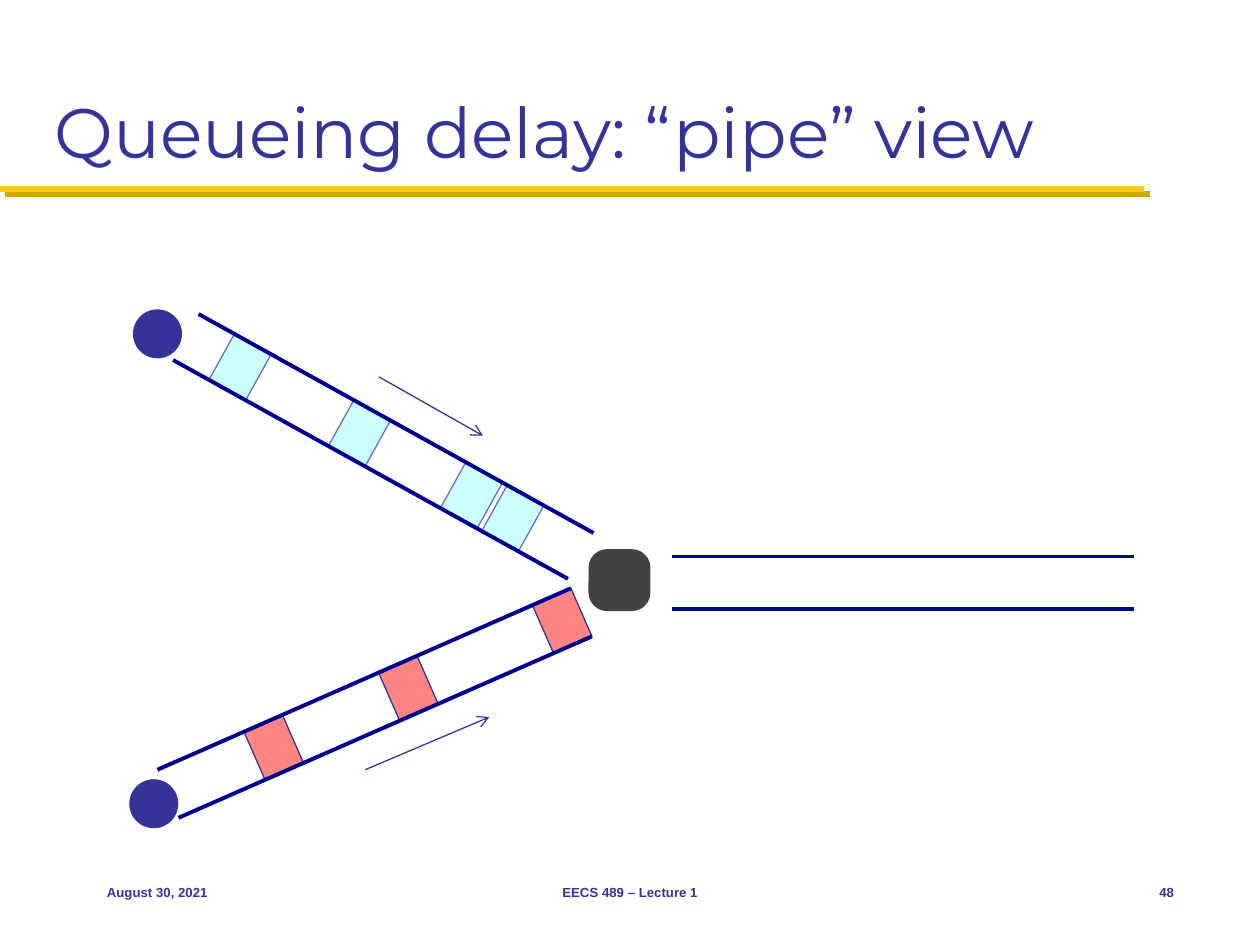
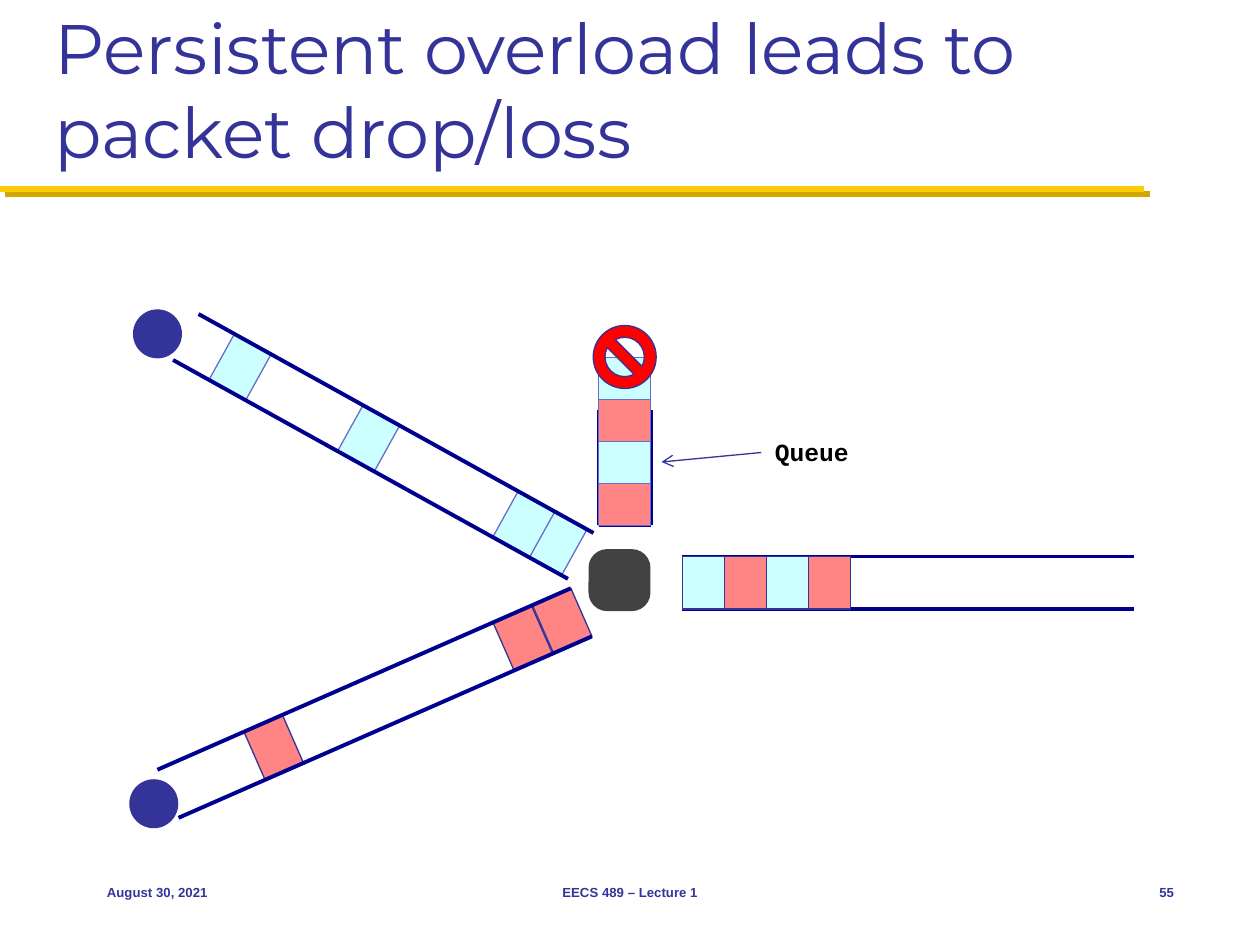
from dataclasses import dataclass
from itertools import cycle
from math import cos, radians, sin

from lxml import etree
from pptx import Presentation
from pptx.dml.color import RGBColor
from pptx.enum.shapes import MSO_CONNECTOR, MSO_SHAPE
from pptx.enum.text import MSO_ANCHOR, PP_ALIGN
from pptx.oxml.ns import qn
from pptx.util import Inches, Pt

STRAIGHT = MSO_CONNECTOR.STRAIGHT
RECTANGLE, OVAL = MSO_SHAPE.RECTANGLE, MSO_SHAPE.OVAL
ROUNDED, NO_SYMBOL = MSO_SHAPE.ROUNDED_RECTANGLE, MSO_SHAPE.NO_SYMBOL
LEFT, CENTER, RIGHT = PP_ALIGN.LEFT, PP_ALIGN.CENTER, PP_ALIGN.RIGHT
TOP, MIDDLE, BOTTOM = MSO_ANCHOR.TOP, MSO_ANCHOR.MIDDLE, MSO_ANCHOR.BOTTOM

# The slide is a grid of 120 columns by 90 rows, 12 cells to the inch
COLUMNS, ROWS, CELLS_PER_INCH = 120, 90, 12
PACKET_LENGTH, PIPE_WIDTH, PIPE_LENGTH = 4, 5, 43


@dataclass(frozen=True)
class Theme:
    navy: str = "333399"
    pipe: str = "000090"
    cyan: str = "CCFFFF"
    coral: str = "FF8585"
    lilac: str = "6A6ACD"
    router: str = "424242"
    red: str = "FF0000"
    black: str = "000000"
    gold: str = "FFCB05"
    dark_gold: str = "D3A600"
    band_line: float = 3.5
    pipe_line: float = 2.25
    thin_line: float = 0.75
    hairline: float = 0.5


THEME = Theme()
TITLE_FONT = {"name": "Montserrat", "size": Pt(40), "bold": False}
FOOTER_FONT = {"name": "Arial", "size": Pt(7.5), "bold": True}
LABEL_FONT = {"name": "Courier New", "size": Pt(14.1), "bold": True}


@dataclass(frozen=True)
class Pipe:
    """A pipe whose centre line leaves start at an angle in degrees."""
    start: tuple
    angle: float
    length: float = PIPE_LENGTH

    def point(self, along, across=0):
        turn = radians(self.angle)
        return (self.start[0] + along * cos(turn) - across * sin(turn),
                self.start[1] + along * sin(turn) + across * cos(turn))


UPPER_PIPE = Pipe((17.7, 32.1), 29)
LOWER_PIPE = Pipe((16, 75.6), -23.7)
EMPTY_OUTPUT = Pipe((64, 55.5), 0, PIPE_LENGTH + 1)
BUSY_OUTPUT = Pipe((65, 55.5), 0)
QUEUE = Pipe((59.5, 50), -90, 11)
BACK_TO_BACK = [PACKET_LENGTH * (index + 0.5) for index in range(4)]


def cells(count):
    return Inches(count / CELLS_PER_INCH)


def color(value):
    return RGBColor.from_string(value)


# Basic elements
def add_line(slide, start, end, line_color, width, arrow=False):
    connector = slide.shapes.add_connector(
        STRAIGHT, *(cells(value) for value in (*start, *end)))
    connector.line.color.rgb = color(line_color)
    connector.line.width = Pt(width)
    if arrow:
        tail = etree.SubElement(connector.line._get_or_add_ln(), qn("a:tailEnd"))
        tail.set("type", "arrow")
    return etree.SubElement(connector._element.spPr, qn("a:effectLst"))


def add_centered(slide, kind, center, width, height, fill,
                 outline=None, line_width=THEME.thin_line):
    shape = slide.shapes.add_shape(
        kind, cells(center[0] - width / 2), cells(center[1] - height / 2),
        cells(width), cells(height))
    shape.shadow.inherit = False
    shape.fill.solid()
    shape.fill.fore_color.rgb = color(fill)
    if outline:
        shape.line.color.rgb = color(outline)
        shape.line.width = Pt(line_width)
    else:
        shape.line.fill.background()
    return shape


def add_text(slide, box, text, font, align=LEFT, anchor=MIDDLE,
             text_color=THEME.navy, wrap=True):
    frame = slide.shapes.add_textbox(*(cells(value) for value in box)).text_frame
    frame.word_wrap = wrap
    frame.vertical_anchor = anchor
    paragraph = frame.paragraphs[0]
    paragraph.alignment = align
    run = paragraph.add_run()
    run.text = text
    for name, value in font.items():
        setattr(run.font, name, value)
    run.font.color.rgb = color(text_color)


# Network parts
def add_walls(slide, pipe):
    for side in (-PIPE_WIDTH / 2, PIPE_WIDTH / 2):
        add_line(slide, pipe.point(0, side), pipe.point(pipe.length, side),
                 THEME.pipe, THEME.pipe_line)


def add_packets(slide, pipe, distances, fills, outline, line_width=THEME.thin_line):
    for distance, fill in zip(distances, cycle(fills)):
        packet = add_centered(slide, RECTANGLE, pipe.point(distance),
                              PACKET_LENGTH, PIPE_WIDTH, fill, outline, line_width)
        packet.rotation = pipe.angle


def add_inputs(slide, upper_distances, lower_distances):
    """Two senders, their pipes with packets, and the router they meet at."""
    add_packets(slide, UPPER_PIPE, upper_distances, [THEME.cyan], THEME.lilac)
    add_packets(slide, LOWER_PIPE, lower_distances, [THEME.coral], THEME.navy)
    for pipe in (UPPER_PIPE, LOWER_PIPE):
        add_walls(slide, pipe)
    for center in ((15, 31.8), (14.65, 76.55)):
        add_centered(slide, OVAL, center, 4.67, 4.67, THEME.navy)
    router = add_centered(slide, ROUNDED, (59, 55.25), 5.9, 5.9, THEME.router)
    router.adjustments[0] = 0.3


def add_arrow(slide, start, end):
    add_line(slide, start, end, THEME.navy, THEME.thin_line, arrow=True)


# Shared slide frame
def add_band(slide):
    effects = add_line(slide, (0, 18), (109, 18), THEME.gold, THEME.band_line)
    shadow = etree.SubElement(effects, qn("a:outerShdw"), blurRad="0",
                              dist=str(Pt(4.2)), dir=str(45 * 60000))
    etree.SubElement(shadow, qn("a:srgbClr"), val=THEME.dark_gold)


def new_slide(presentation, title, number):
    slide = presentation.slides.add_slide(presentation.slide_layouts[6])
    add_band(slide)
    add_text(slide, (4, 2, 112, 15), title, TITLE_FONT, anchor=BOTTOM)
    footers = (
        (9, 25, "August 30, 2021", LEFT),
        (41, 38, "EECS 489 – Lecture 1", CENTER),
        (105, 8, str(number), RIGHT),
    )
    for column, width, text, align in footers:
        add_text(slide, (column, 82, width, 6), text, FOOTER_FONT, align)
    return slide


# Slides
def build_pipe_view(presentation):
    slide = new_slide(presentation, "Queueing delay: “pipe” view", 48)
    add_inputs(slide, (35.6, 31.1, 18.9, 5.9), (11, 41, 25))
    add_walls(slide, EMPTY_OUTPUT)
    add_arrow(slide, (36.1, 35.9), (46, 41.5))
    add_arrow(slide, (34.8, 73.3), (46.6, 68.3))


def build_overload(presentation):
    slide = new_slide(presentation, "Persistent overload leads to packet drop/loss", 55)
    add_inputs(slide, (40.3, 36.8, 19.9, 5.9), (11, 41, 36.9))

    # Busy output link
    add_walls(slide, BUSY_OUTPUT)
    add_packets(slide, BUSY_OUTPUT, BACK_TO_BACK, [THEME.cyan, THEME.coral], THEME.navy)

    # Full queue and the dropped packet
    add_walls(slide, QUEUE)
    add_line(slide, QUEUE.point(0, -PIPE_WIDTH / 2), QUEUE.point(0, PIPE_WIDTH / 2),
             THEME.pipe, THEME.pipe_line)
    add_packets(slide, QUEUE, BACK_TO_BACK, [THEME.coral, THEME.cyan],
                THEME.lilac, THEME.hairline)
    add_centered(slide, NO_SYMBOL, (59.5, 34), 6, 6, THEME.red, THEME.navy)

    add_text(slide, (72.5, 41, 9.5, 4.1), "Queue", LABEL_FONT, RIGHT, TOP,
             THEME.black, wrap=False)
    add_arrow(slide, (72.5, 43.1), (63, 44))


def main():
    presentation = Presentation()
    presentation.slide_width, presentation.slide_height = cells(COLUMNS), cells(ROWS)
    build_pipe_view(presentation)
    build_overload(presentation)
    presentation.save("out.pptx")


if __name__ == "__main__":
    main()
